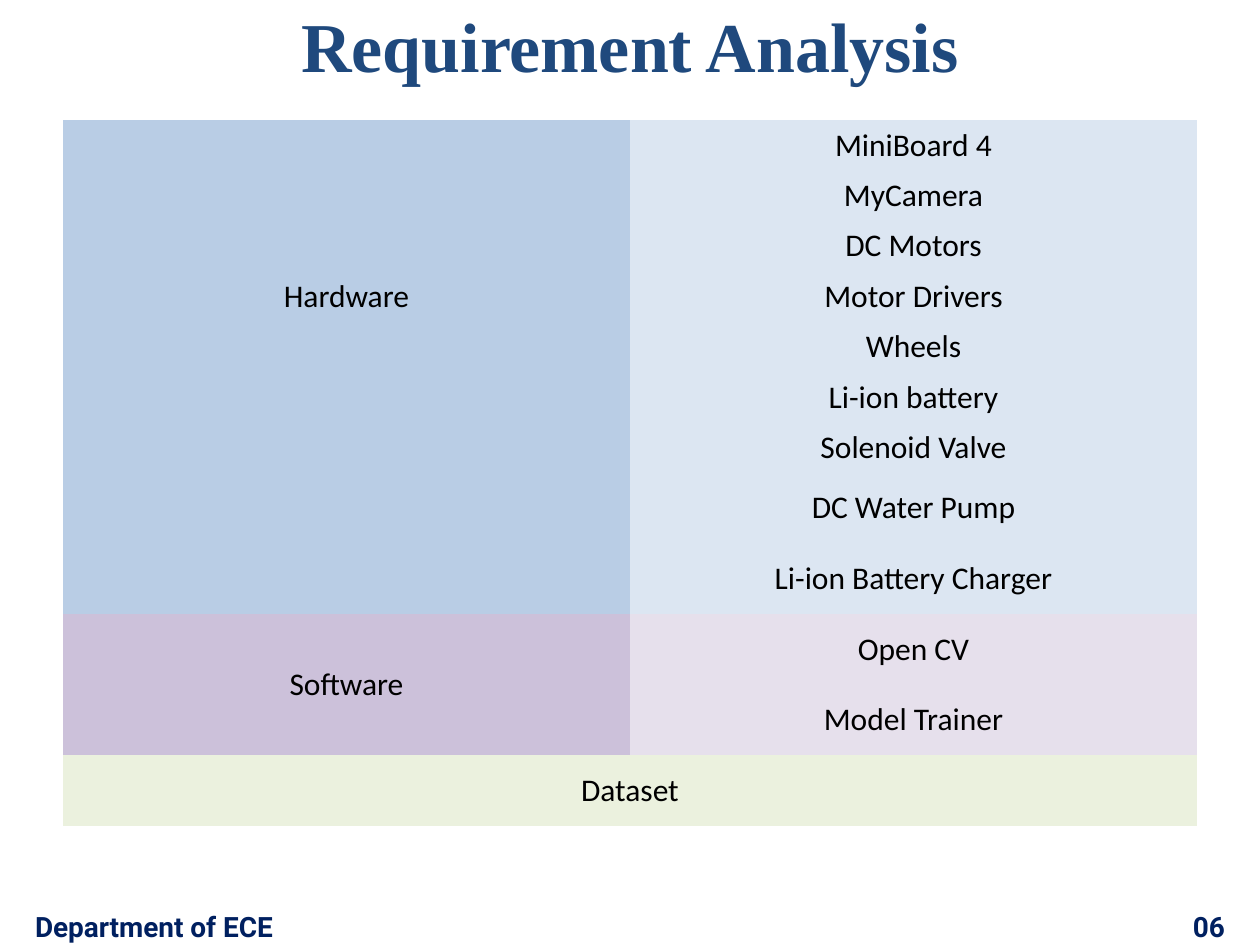
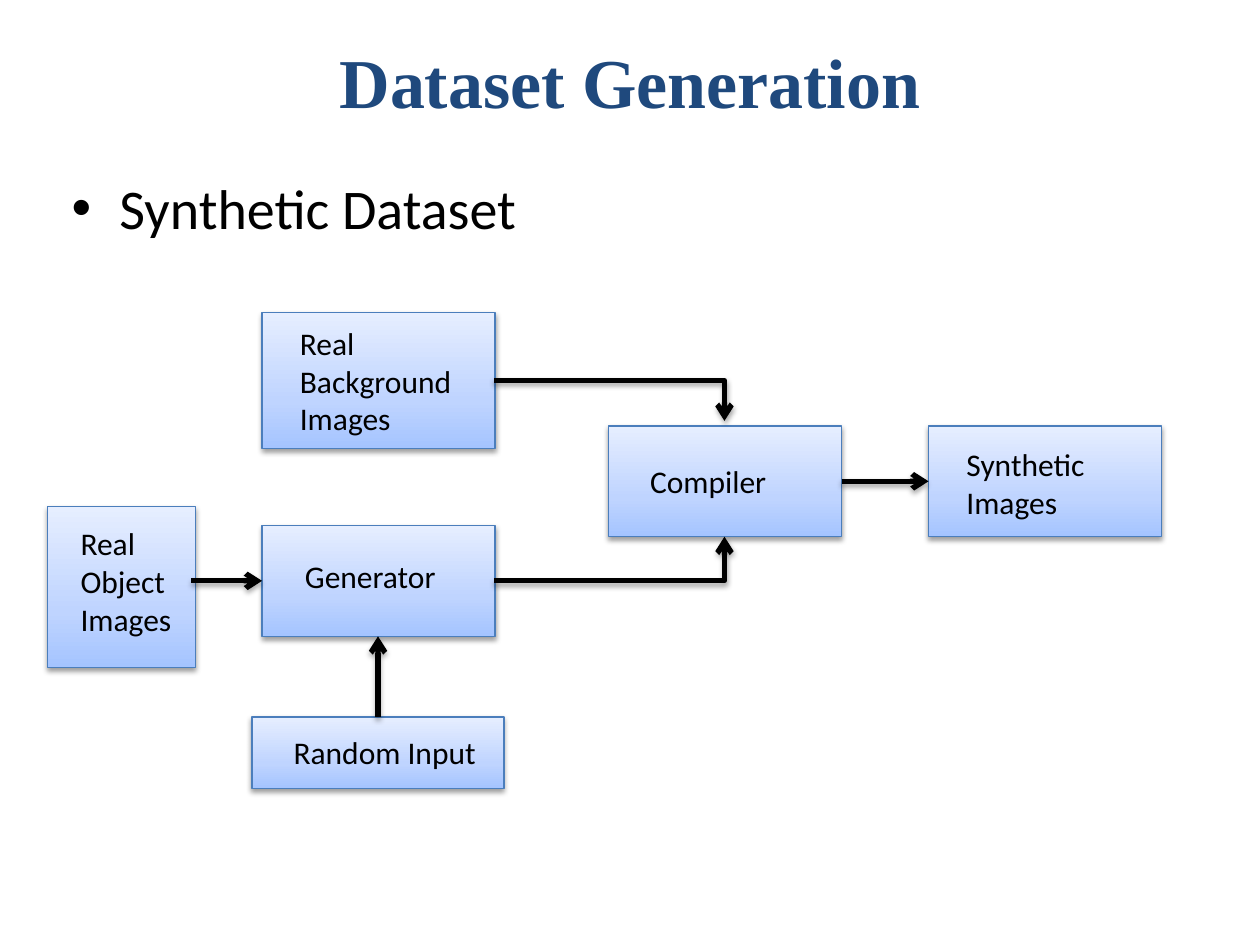
"""Builds two slides: a requirements table and a dataset generation flow."""
from lxml import etree
from pptx import Presentation
from pptx.dml.color import RGBColor
from pptx.enum.shapes import MSO_CONNECTOR as CONN, MSO_SHAPE as SHAPE
from pptx.enum.text import MSO_ANCHOR as ANCHOR, PP_ALIGN as ALIGN
from pptx.oxml import parse_xml
from pptx.oxml.ns import nsdecls, qn
from pptx.util import Inches, Pt

BODY, TITLE, FOOTER = "Calibri", "Times New Roman", "Roboto"
BLACK, TITLE_BLUE, NAVY, EDGE = "000000", "1F497D", "002060", "4B7EBC"
HARDWARE, HARDWARE_ITEM = "B9CDE5", "DCE6F2"
SOFTWARE, SOFTWARE_ITEM = "CCC1DA", "E6E0EC"
DATASET = "EBF1DE"
GRADIENT = [(0, "A4C4FF"), (35, "BFD4FF"), (100, "E6EEFF")]
NO_GRID_STYLE = "{2D5ABB26-0587-4C30-8999-92F81FD0307C}"

GROUPS = [
    ("Hardware", HARDWARE, HARDWARE_ITEM, 7, [
        "MiniBoard 4", "MyCamera", "DC Motors", "Motor Drivers", "Wheels",
        "Li-ion battery", "Solenoid Valve", "DC Water Pump",
        "Li-ion Battery Charger"]),
    ("Software", SOFTWARE, SOFTWARE_ITEM, 2, ["Open CV", "Model Trainer"]),
]
ROW_HEIGHTS = [0.4] * 7 + [0.56] * 5

BOXES = [
    ("Real Background Images", (2.08, 2.48, 1.85, 1.08), (0.3, 0.09)),
    ("Generator", (2.08, 4.17, 1.85, 0.88), (0.34, 0.25)),
    ("Random Input", (2, 5.69, 2, 0.57), (0.33, 0.13)),
    ("Real Object Images", (0.38, 4.02, 1.17, 1.28), (0.26, 0.14)),
    ("Synthetic Images", (7.37, 3.38, 1.85, 0.88), (0.3, 0.15)),
    ("Compiler", (4.83, 3.38, 1.85, 0.88), (0.33, 0.29)),
]
ARROWS = [
    (CONN.STRAIGHT, (1.52, 4.61), (2.08, 4.61)),
    (CONN.STRAIGHT, (3, 5.69), (3, 5.05)),
    (CONN.STRAIGHT, (6.68, 3.82), (7.37, 3.82)),
    (CONN.ELBOW, (3.92, 4.61), (5.75, 4.26)),
    (CONN.ELBOW, (3.92, 3.02), (5.75, 3.34)),
]


def rgb(color):
    return RGBColor.from_string(color)


def inches(values):
    return [Inches(v) for v in values]


def style(p, size=18, font=BODY, color=BLACK, bold=False, align=ALIGN.LEFT):
    p.alignment = align
    for r in p.runs:
        r.font.size, r.font.name, r.font.bold = Pt(size), font, bold
        r.font.color.rgb = rgb(color)


def add_text(slide, text, at, anchor=ANCHOR.TOP, **look):
    tf = slide.shapes.add_textbox(*inches(at)).text_frame
    tf.word_wrap, tf.vertical_anchor = True, anchor
    tf.text = text
    style(tf.paragraphs[0], **look)
    return tf.paragraphs[0]


def add_title(slide, text, top):
    add_text(slide, text, (0, top, 10, 0.58), ANCHOR.MIDDLE, size=40,
             font=TITLE, color=TITLE_BLUE, bold=True, align=ALIGN.CENTER)


def add_footer(slide, department, number):
    look = dict(size=16, font=FOOTER, color=NAVY, bold=True)
    add_text(slide, department, (0.18, 7.17, 4.73, 0.37), **look)
    add_text(slide, number, (8.14, 7.17, 1.68, 0.37), align=ALIGN.RIGHT, **look)


def add_shadow(spPr, alpha, dist):
    spPr.append(parse_xml(
        f'<a:effectLst {nsdecls("a")}><a:outerShdw blurRad="{Pt(3.1)}" '
        f'dist="{Pt(dist)}" dir="5400000" rotWithShape="0">'
        f'<a:srgbClr val="{BLACK}"><a:alpha val="{alpha * 1000}"/></a:srgbClr>'
        '</a:outerShdw></a:effectLst>'))


def add_box(slide, text, at, inset):
    sp = slide.shapes.add_shape(SHAPE.RECTANGLE, *inches(at))
    spPr = sp._element.spPr
    stops = "".join(f'<a:gs pos="{pos * 1000}"><a:srgbClr val="{c}"/></a:gs>'
                    for pos, c in GRADIENT)
    spPr.append(parse_xml(
        f'<a:gradFill {nsdecls("a")} rotWithShape="1"><a:gsLst>{stops}</a:gsLst>'
        '<a:lin ang="16200000" scaled="0"/></a:gradFill>'))
    sp.line.color.rgb, sp.line.width = rgb(EDGE), Pt(0.75)
    add_shadow(spPr, 38, 1.6)
    tf = sp.text_frame
    tf.word_wrap, tf.vertical_anchor = True, ANCHOR.TOP
    tf.margin_left, tf.margin_top = inches(inset)
    tf.margin_right = tf.margin_bottom = 0
    tf.text = text
    style(tf.paragraphs[0])


def add_arrow(slide, kind, start, end):
    c = slide.shapes.add_connector(kind, *inches(start + end))
    spPr = c._element.spPr
    if kind == CONN.ELBOW:
        spPr.find(qn("a:prstGeom")).set("prst", "bentConnector2")
    c.line.color.rgb, c.line.width = rgb(BLACK), Pt(3)
    etree.SubElement(spPr.find(qn("a:ln")), qn("a:tailEnd"), type="arrow")
    add_shadow(spPr, 35, 1.8)


def fill_cell(cell, color, text=""):
    cell.fill.solid()
    cell.fill.fore_color.rgb = rgb(color)
    cell.vertical_anchor = ANCHOR.MIDDLE
    cell.text = text
    style(cell.text_frame.paragraphs[0], align=ALIGN.CENTER)


def add_requirements(slide):
    table = slide.shapes.add_table(
        len(ROW_HEIGHTS), 2, *inches((0.5, 0.95, 9, sum(ROW_HEIGHTS)))).table
    table.first_row = table.horz_banding = False
    table._tbl.tblPr.find(qn("a:tableStyleId")).text = NO_GRID_STYLE
    for row, height in zip(table.rows, ROW_HEIGHTS):
        row.height = Inches(height)
    top = 0
    for name, color, item_color, span, items in GROUPS:
        for i, item in enumerate(items, top):
            fill_cell(table.cell(i, 0), color)
            fill_cell(table.cell(i, 1), item_color, item)
        table.cell(top, 0).merge(table.cell(top + span - 1, 0))
        fill_cell(table.cell(top, 0), color, name)
        top += len(items)
    table.cell(top, 0).merge(table.cell(top, 1))
    fill_cell(table.cell(top, 0), DATASET, "Dataset")


def add_bullet(slide, text, at):
    p = add_text(slide, text, at, size=32)
    pPr = p._p.get_or_add_pPr()
    pPr.set("marL", str(Inches(0.38)))
    pPr.set("indent", str(Inches(-0.38)))
    etree.SubElement(pPr, qn("a:buFont"), typeface="Arial")
    etree.SubElement(pPr, qn("a:buChar"), char="•")


def main():
    prs = Presentation()
    prs.slide_width, prs.slide_height = inches((10, 7.5))
    blank = prs.slide_layouts[6]

    s = prs.slides.add_slide(blank)
    add_title(s, "Requirement Analysis", 0.06)
    add_footer(s, "Department of ECE", "06")
    add_requirements(s)

    s = prs.slides.add_slide(blank)
    add_title(s, "Dataset Generation", 0.35)
    add_bullet(s, "Synthetic Dataset", (0.47, 1.33, 9, 0.7))
    for box in BOXES:
        add_box(s, *box)
    for arrow in ARROWS:
        add_arrow(s, *arrow)

    prs.save("out.pptx")


if __name__ == "__main__":
    main()
